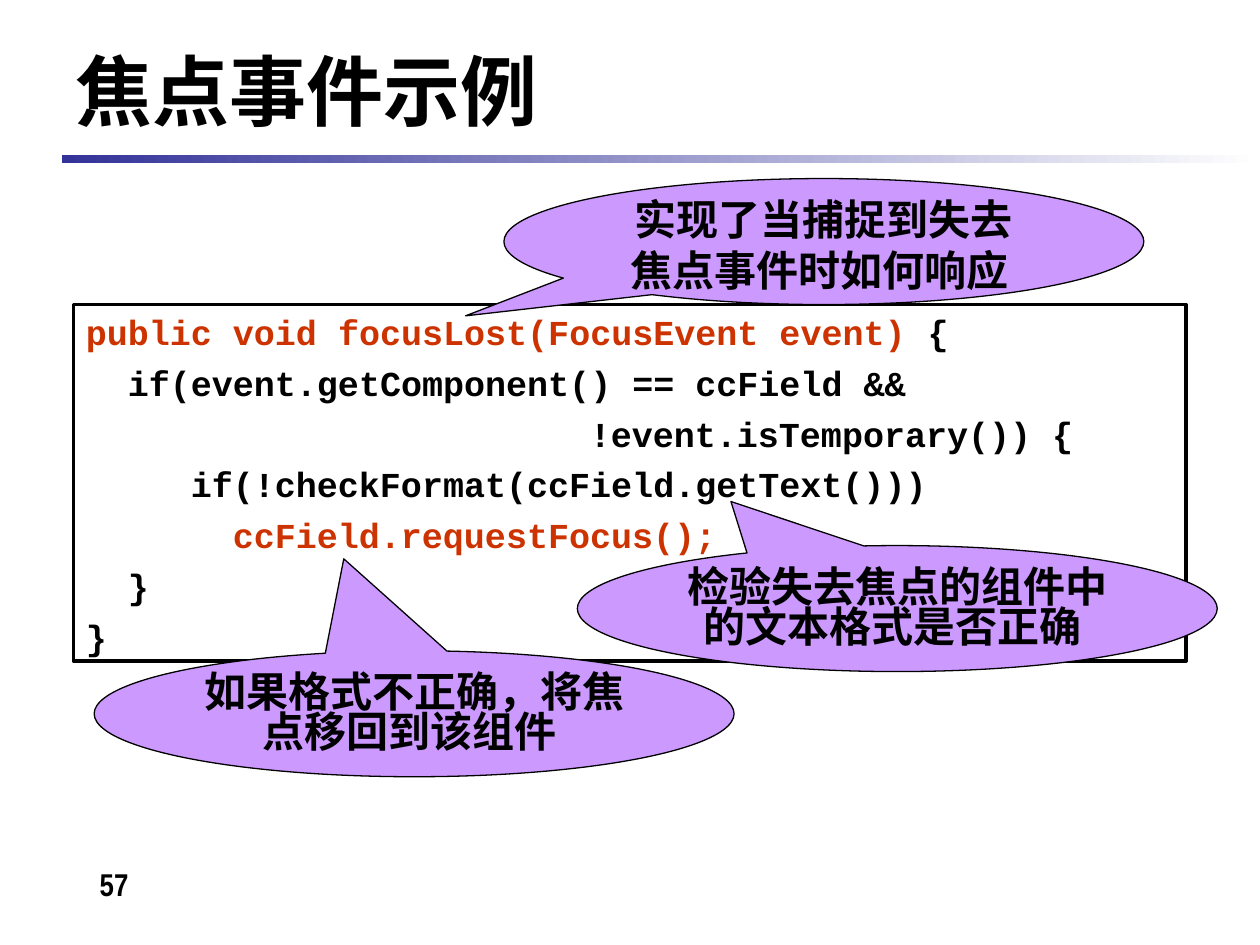
from pptx import Presentation
from pptx.dml.color import RGBColor
from pptx.enum.shapes import MSO_SHAPE
from pptx.enum.text import MSO_ANCHOR, MSO_AUTO_SIZE, PP_ALIGN
from pptx.oxml.ns import qn
from pptx.util import Cm, Pt

BLACK = RGBColor(0x00, 0x00, 0x00)
WHITE = RGBColor(0xFF, 0xFF, 0xFF)
NAVY = RGBColor(0x33, 0x33, 0x99)
RED = RGBColor(0xCC, 0x33, 0x00)
LILAC = RGBColor(0xCC, 0x99, 0xFF)

CHAR_WIDTH = Pt(12)  # one monospaced character at 20 pt

# Each line of code: indent in characters, then (text, colour) runs
CODE = [
    (0, [("public void focusLost(FocusEvent event)", RED), (" {", BLACK)]),
    (2, [("if(event.getComponent() == ccField &&", BLACK)]),
    (24, [("!event.isTemporary()) {", BLACK)]),
    (5, [("if(!checkFormat(ccField.getText()))", BLACK)]),
    (7, [("ccField.requestFocus();", RED)]),
    (2, [("}", BLACK)]),
    (0, [("}", BLACK)]),
]

# Left, top, pointer offsets and paragraphs
CALLOUTS = [
    (10.16, 3.6, (-0.56, 0.59), ["实现了当捕捉到失去", "焦点事件时如何响应 "]),
    (11.64, 11, (-0.26, -0.85), ["检验失去焦点的组件中的文本格式是否正确 "]),
    (1.9, 13.12, (-0.11, -1.23), ["如果格式不正确，将焦点移回到该组件 "]),
]


class SlideBuilder:
    title_font = "Arial Narrow"
    code_font = "Courier New"
    callout_font = "Noto Sans CJK SC"

    def __init__(self, prs):
        self.s = prs.slides.add_slide(prs.slide_layouts[5])

    def style(self, p, font, size):
        p.font.name, p.font.size, p.font.bold = font, Pt(size), True
        p.font.color.rgb = BLACK

    def shape(self, kind, left, top, width, height):
        sp = self.s.shapes.add_shape(kind, Cm(left), Cm(top), Cm(width), Cm(height))
        sp.shadow.inherit = False
        tf = sp.text_frame
        tf.word_wrap = True
        tf.vertical_anchor = MSO_ANCHOR.TOP
        return sp

    def title(self, text):
        sp = self.s.shapes.title
        sp.left, sp.top, sp.width, sp.height = Cm(1.27), Cm(0.84), Cm(21.64), Cm(1.93)
        tf = sp.text_frame
        tf.text = text
        tf.auto_size = MSO_AUTO_SIZE.NONE
        tf.vertical_anchor = MSO_ANCHOR.MIDDLE
        p = tf.paragraphs[0]
        p.alignment = PP_ALIGN.LEFT
        self.style(p, self.title_font, 44)

    def rule(self):
        sp = self.shape(MSO_SHAPE.RECTANGLE, 1.25, 3.12, 24.15, 0.16)
        sp.line.fill.background()
        sp.fill.gradient()
        sp.fill.gradient_angle = 0
        for stop, color in zip(sp.fill.gradient_stops, (NAVY, WHITE)):
            stop.color.rgb = color

    def code_box(self, lines):
        sp = self.shape(MSO_SHAPE.RECTANGLE, 1.48, 6.14, 22.43, 7.19)
        sp.fill.background()
        sp.line.color.rgb = BLACK
        sp.line.width = Pt(2)
        tf = sp.text_frame
        for i, (indent, runs) in enumerate(lines):
            p = tf.add_paragraph() if i else tf.paragraphs[0]
            p.alignment = PP_ALIGN.LEFT
            p.space_before = Pt(5)
            p._p.get_or_add_pPr().set("marL", str(indent * CHAR_WIDTH))
            self.style(p, self.code_font, 20)
            for text, color in runs:
                r = p.add_run()
                r.text = text
                r.font.color.rgb = color

    def callout(self, left, top, pointer, paragraphs):
        sp = self.shape(MSO_SHAPE.OVAL_CALLOUT, left, top, 12.9, 2.54)
        sp.adjustments[0], sp.adjustments[1] = pointer
        sp.fill.solid()
        sp.fill.fore_color.rgb = LILAC
        sp.line.color.rgb = BLACK
        sp.line.width = Pt(0.75)
        tf = sp.text_frame
        tf.text = "\n".join(paragraphs)
        for p in tf.paragraphs:
            p.alignment = PP_ALIGN.CENTER
            p.line_spacing = 0.8
            p.space_before = Pt(6)
            self.style(p, self.callout_font, 24)
            # East Asian typeface for the Chinese text
            for r in p.runs:
                ea = r.font._element.makeelement(qn("a:ea"), {"typeface": self.callout_font})
                r.font._element.append(ea)

    def page_number(self, text):
        sp = self.s.shapes.add_textbox(Cm(0.5), Cm(17.32), Cm(3.6), Cm(1.32))
        tf = sp.text_frame
        tf.word_wrap = True
        tf.text = text
        p = tf.paragraphs[0]
        p.alignment = PP_ALIGN.CENTER
        self.style(p, self.title_font, 18)


def main():
    prs = Presentation()
    prs.slide_width, prs.slide_height = Cm(25.4), Cm(19.05)
    slide = SlideBuilder(prs)

    # Heading
    slide.rule()
    slide.title("焦点事件示例")

    # Code and its explanations
    slide.code_box(CODE)
    for callout in CALLOUTS:
        slide.callout(*callout)

    # Footer
    slide.page_number("57")
    prs.save("out.pptx")


if __name__ == "__main__":
    main()
